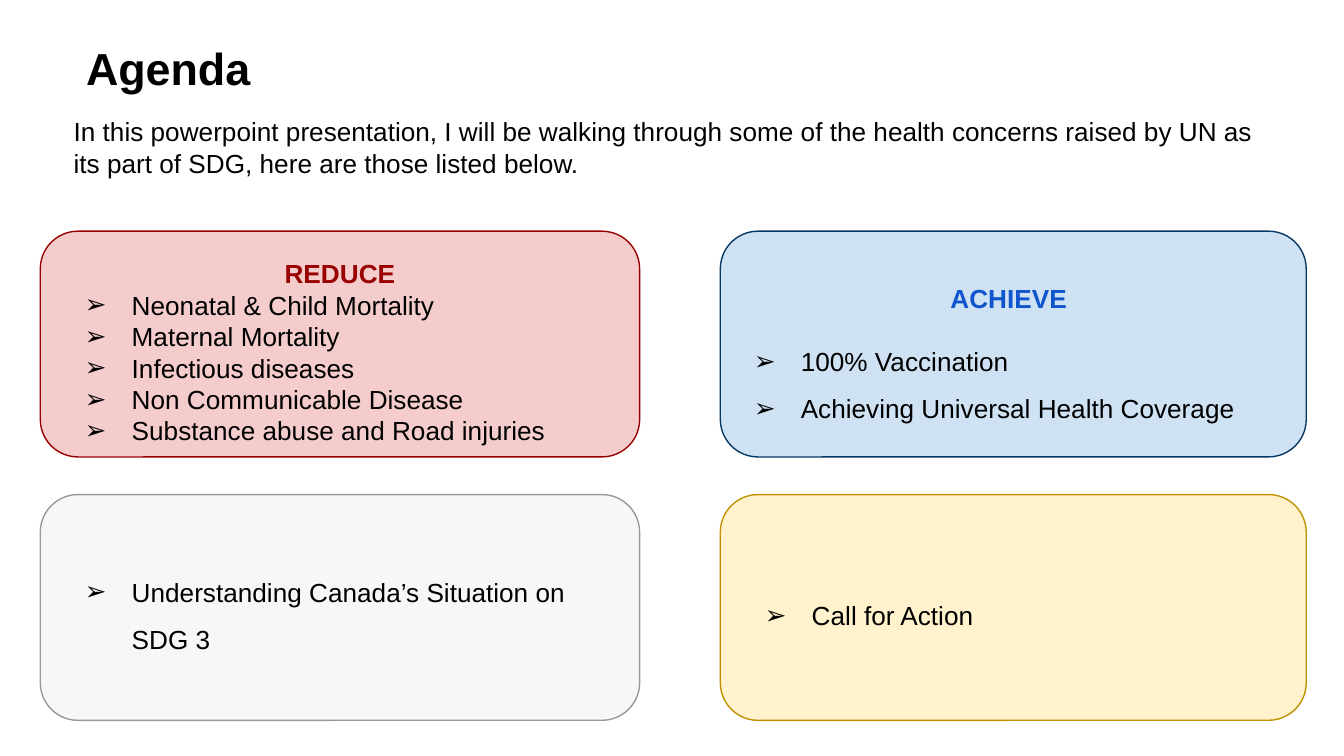
from dataclasses import dataclass

from lxml import etree
from pptx import Presentation
from pptx.dml.color import RGBColor
from pptx.enum import shapes, text
from pptx.oxml import ns
from pptx.util import Inches, Pt


@dataclass(frozen=True)
class Theme:
    font: str = "Arial"
    title_size: int = 24
    body_size: int = 14
    ink: str = "000000"
    reduce: tuple = ("F4CCCC", "980000")
    achieve: tuple = ("CFE2F3", "073763")
    canada: tuple = ("F7F7F8", "999999")
    action: tuple = ("FFF2CC", "BF9000")
    reduce_heading: str = "990000"
    achieve_heading: str = "1155CC"


THEME = Theme()
LEFT_COLUMN, RIGHT_COLUMN = (0.3, 4.46), (5.36, 4.36)
TOP_ROW, BOTTOM_ROW = 1.72, 3.68
CARD_HEIGHT = 1.68


def set_frame(frame, anchor=text.MSO_ANCHOR.TOP):
    frame.word_wrap = True
    frame.auto_size = text.MSO_AUTO_SIZE.NONE
    frame.vertical_anchor = anchor
    frame.margin_left = frame.margin_right = Inches(0.1)
    frame.margin_top = frame.margin_bottom = Inches(0.1)


def next_paragraph(frame):
    """Return the empty first paragraph, or a new one after the last."""
    para = frame.paragraphs[0]
    return frame.add_paragraph() if para.runs else para


def add_line(frame, words, color=THEME.ink, size=THEME.body_size, bold=False,
             align=text.PP_ALIGN.LEFT, spacing=1.0):
    para = next_paragraph(frame)
    para.alignment = align
    para.line_spacing = spacing
    span = para.add_run()
    span.text = words
    span.font.name = THEME.font
    span.font.size = Pt(size)
    span.font.bold = bold
    span.font.color.rgb = RGBColor.from_string(color)
    return para


def add_heading(frame, words, color, spacing):
    add_line(frame, words, color, bold=True, align=text.PP_ALIGN.CENTER,
             spacing=spacing)


def add_bullet(frame, words, spacing=1.0):
    props = add_line(frame, words, spacing=spacing)._p.get_or_add_pPr()
    props.set("marL", str(Inches(0.5)))
    props.set("indent", str(Inches(-0.35)))
    color = etree.SubElement(props, ns.qn("a:buClr"))
    etree.SubElement(color, ns.qn("a:srgbClr"), val=THEME.ink)
    etree.SubElement(props, ns.qn("a:buFont"), typeface=THEME.font)
    etree.SubElement(props, ns.qn("a:buChar"), char="➢")


def add_title(page, words):
    title = page.shapes.title
    title.left, title.top = Inches(0.54), Inches(0.2)
    title.width, title.height = Inches(9.3), Inches(0.68)
    set_frame(title.text_frame)
    add_line(title.text_frame, words, size=THEME.title_size, bold=True)


def add_text_box(page, left, top, width, height):
    box = page.shapes.add_textbox(
        Inches(left), Inches(top), Inches(width), Inches(height))
    set_frame(box.text_frame)
    return box.text_frame


def add_card(page, column, top, colors):
    left, width = column
    fill, line = colors
    card = page.shapes.add_shape(
        shapes.MSO_SHAPE.ROUNDED_RECTANGLE,
        Inches(left), Inches(top), Inches(width), Inches(CARD_HEIGHT))
    card.shadow.inherit = False
    card.fill.solid()
    card.fill.fore_color.rgb = RGBColor.from_string(fill)
    card.line.color.rgb = RGBColor.from_string(line)
    card.line.width = Pt(0.75)
    set_frame(card.text_frame, text.MSO_ANCHOR.MIDDLE)
    return card.text_frame


def main():
    deck = Presentation()
    deck.slide_width = Inches(10)
    deck.slide_height = deck.slide_width * 9 // 16
    page = deck.slides.add_slide(deck.slide_layouts.get_by_name("Title Only"))

    add_title(page, "Agenda")
    intro = add_text_box(page, 0.45, 0.76, 9.1, 0.68)
    add_line(intro, "In this powerpoint presentation, I will be walking through "
                    "some of the health concerns raised by UN as its part of "
                    "SDG, here are those listed below.")

    reduce_card = add_card(page, LEFT_COLUMN, TOP_ROW, THEME.reduce)
    add_heading(reduce_card, "REDUCE", THEME.reduce_heading, 1.5)
    for goal in ("Neonatal & Child Mortality", "Maternal Mortality",
                 "Infectious diseases", "Non Communicable Disease",
                 "Substance abuse and Road injuries"):
        add_bullet(reduce_card, goal)

    action_card = add_card(page, RIGHT_COLUMN, BOTTOM_ROW, THEME.action)
    add_bullet(action_card, "Call for Action", 1.5)

    canada_card = add_card(page, LEFT_COLUMN, BOTTOM_ROW, THEME.canada)
    add_bullet(canada_card, "Understanding Canada’s Situation on SDG 3", 1.5)

    add_card(page, RIGHT_COLUMN, TOP_ROW, THEME.achieve)
    achieve_text = add_text_box(page, 5.36, 1.77, 4.29, 1.17)
    add_heading(achieve_text, "ACHIEVE", THEME.achieve_heading, 2.0)
    add_bullet(achieve_text, "100% Vaccination", 2.0)
    add_bullet(achieve_text, "Achieving Universal Health Coverage", 1.5)

    deck.save("out.pptx")


if __name__ == "__main__":
    main()
